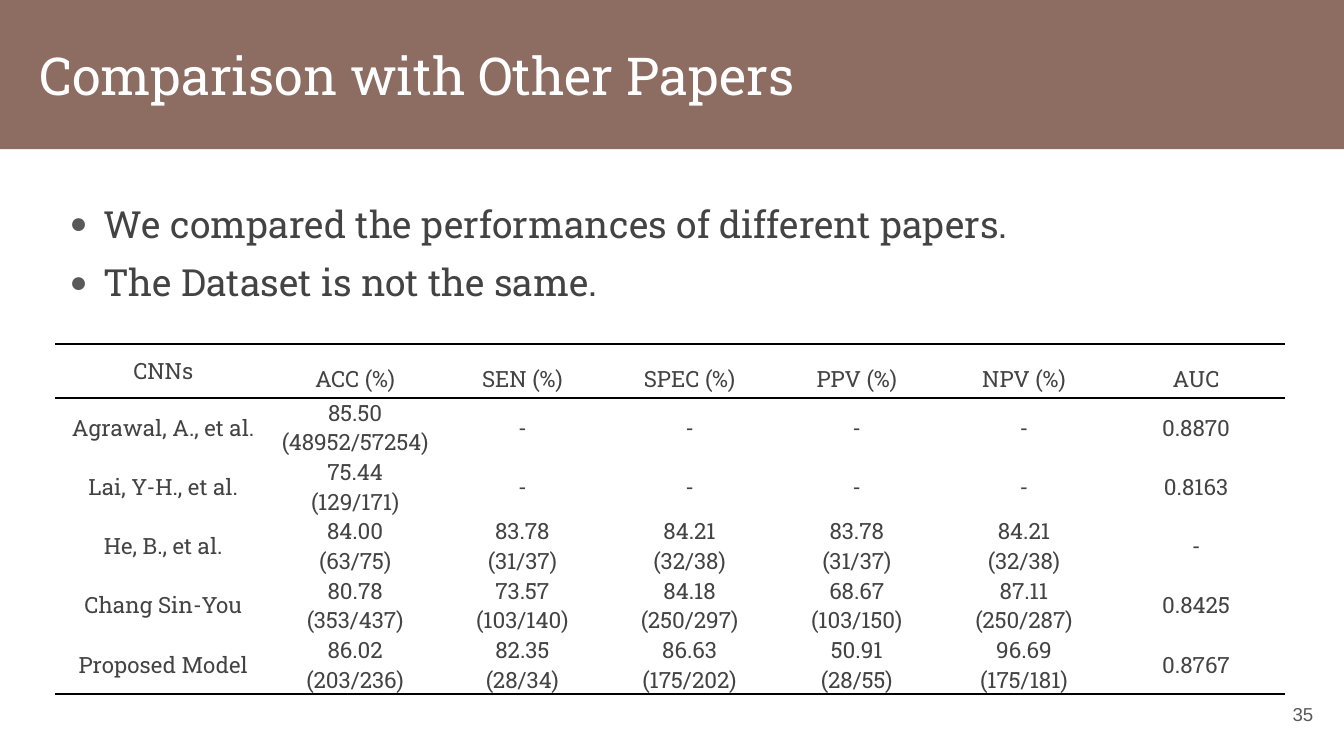
from lxml.etree import SubElement
from pptx import Presentation
from pptx.dml.color import RGBColor
from pptx.enum.shapes import MSO_SHAPE
from pptx.enum.text import MSO_ANCHOR, PP_ALIGN
from pptx.oxml.ns import qn
from pptx.util import Pt

COLORS = {"band": "8D6C62", "title": "FFFFFF", "text": "434343",
          "muted": "595959", "rule": "000000"}
SERIF, SANS = "Roboto Slab", "Arial"
NO_STYLE = "{2D5ABB26-0587-4C30-8999-92F81FD0307C}"

POINTS = ["We compared the performances of different papers.",
          "The Dataset is not the same."]
WIDTHS = [116] + [89.6] * 5 + [94.8]
ROWS = [
    ["CNNs", "ACC (%)", "SEN (%)", "SPEC (%)", "PPV (%)", "NPV (%)", "AUC"],
    ["Agrawal, A., et al.", "85.50\n(48952/57254)", "-", "-", "-", "-", "0.8870"],
    ["Lai, Y-H., et al.", "75.44\n(129/171)", "-", "-", "-", "-", "0.8163"],
    ["He, B., et al.", "84.00\n(63/75)", "83.78\n(31/37)", "84.21\n(32/38)",
     "83.78\n(31/37)", "84.21\n(32/38)", "-"],
    ["Chang Sin-You", "80.78\n(353/437)", "73.57\n(103/140)", "84.18\n(250/297)",
     "68.67\n(103/150)", "87.11\n(250/287)", "0.8425"],
    ["Proposed Model", "86.02\n(203/236)", "82.35\n(28/34)", "86.63\n(175/202)",
     "50.91\n(28/55)", "96.69\n(175/181)", "0.8767"],
]
HEIGHTS = [28.8] + [31.75] * (len(ROWS) - 1)


def color(key):
    return RGBColor.from_string(COLORS[key])


def write(para, text, size, key, align=PP_ALIGN.LEFT, face=SERIF):
    para.text = text
    para.alignment = align
    font = para.font
    font.size, font.name = Pt(size), face
    font.color.rgb = color(key)


def inset(frame, left=7.2):
    frame.word_wrap = True
    frame.margin_left = Pt(left)
    frame.margin_right = frame.margin_top = frame.margin_bottom = Pt(7.2)


def add_band(slide, text):
    band = slide.shapes.add_shape(MSO_SHAPE.RECTANGLE, 0, 0, Pt(720), Pt(80))
    band.shadow.inherit = False
    band.fill.solid()
    band.fill.fore_color.rgb = color("band")
    band.line.fill.background()
    frame = band.text_frame
    inset(frame, 21)
    frame.vertical_anchor = MSO_ANCHOR.MIDDLE
    write(frame.paragraphs[0], text, 28, "title")


def add_box(slide, left, top, width, height):
    box = slide.shapes.add_textbox(Pt(left), Pt(top), Pt(width), Pt(height))
    inset(box.text_frame)
    return box.text_frame


def add_bullet(para):
    props = para._p.get_or_add_pPr()
    props.set("marL", str(Pt(18)))
    props.set("indent", str(Pt(-18)))
    tint = SubElement(props, qn("a:buClr"))
    SubElement(tint, qn("a:srgbClr"), val=COLORS["muted"])
    SubElement(props, qn("a:buSzPct"), val="80000")
    SubElement(props, qn("a:buFont"), typeface=SANS)
    SubElement(props, qn("a:buChar"), char="●")


def add_list(slide, items):
    frame = add_box(slide, 30.3, 93.4, 659, 80)
    for i, item in enumerate(items):
        para = frame.add_paragraph() if i else frame.paragraphs[0]
        para.line_spacing = 1.3
        add_bullet(para)
        write(para, item, 20, "text", PP_ALIGN.JUSTIFY)


def add_edges(cell, rules):
    # Edges without a rule are switched off explicitly
    props = cell._tc.get_or_add_tcPr()
    for side in ("lnL", "lnR", "lnT", "lnB"):
        line = SubElement(props, qn("a:" + side), w=str(Pt(rules.get(side, 1))))
        if side in rules:
            fill = SubElement(line, qn("a:solidFill"))
            SubElement(fill, qn("a:srgbClr"), val=COLORS["rule"])
        else:
            SubElement(line, qn("a:noFill"))


def fill_cell(cell, text):
    cell.margin_left = cell.margin_right = Pt(5)
    cell.margin_top = cell.margin_bottom = 0
    cell.vertical_anchor = MSO_ANCHOR.MIDDLE
    write(cell.text_frame.paragraphs[0], text, 12, "text", PP_ALIGN.CENTER)


def add_grid(slide, rows):
    # Rules above and below the header, and under the last row
    rules = {0: {"lnT": 1.5, "lnB": 1}, 1: {"lnT": 1}, len(rows) - 1: {"lnB": 1.5}}
    table = slide.shapes.add_table(len(rows), len(WIDTHS), Pt(29.5), Pt(184.3),
                                   Pt(sum(WIDTHS)), Pt(sum(HEIGHTS))).table
    table.first_row = table.horz_banding = False
    table._tbl.tblPr.find(qn("a:tableStyleId")).text = NO_STYLE
    for col, width in zip(table.columns, WIDTHS):
        col.width = Pt(width)
    for line, height in zip(table.rows, HEIGHTS):
        line.height = Pt(height)
    for r, row in enumerate(rows):
        for c, text in enumerate(row):
            cell = table.cell(r, c)
            fill_cell(cell, text)
            if r == 0 and c > 0:
                cell.text_frame.paragraphs[0].line_spacing = 1.5
            add_edges(cell, rules.get(r, {}))
            cell.fill.background()


def add_number(slide, text):
    frame = add_box(slide, 667.4, 367.2, 43.2, 31)
    frame.vertical_anchor = MSO_ANCHOR.MIDDLE
    write(frame.paragraphs[0], text, 10, "muted", PP_ALIGN.RIGHT, SANS)


def main():
    deck = Presentation()
    deck.slide_width, deck.slide_height = Pt(720), Pt(405)
    slide = deck.slides.add_slide(deck.slide_layouts[6])
    add_band(slide, "Comparison with Other Papers")
    add_list(slide, POINTS)
    add_number(slide, "35")
    add_grid(slide, ROWS)
    deck.save("out.pptx")


if __name__ == "__main__":
    main()
